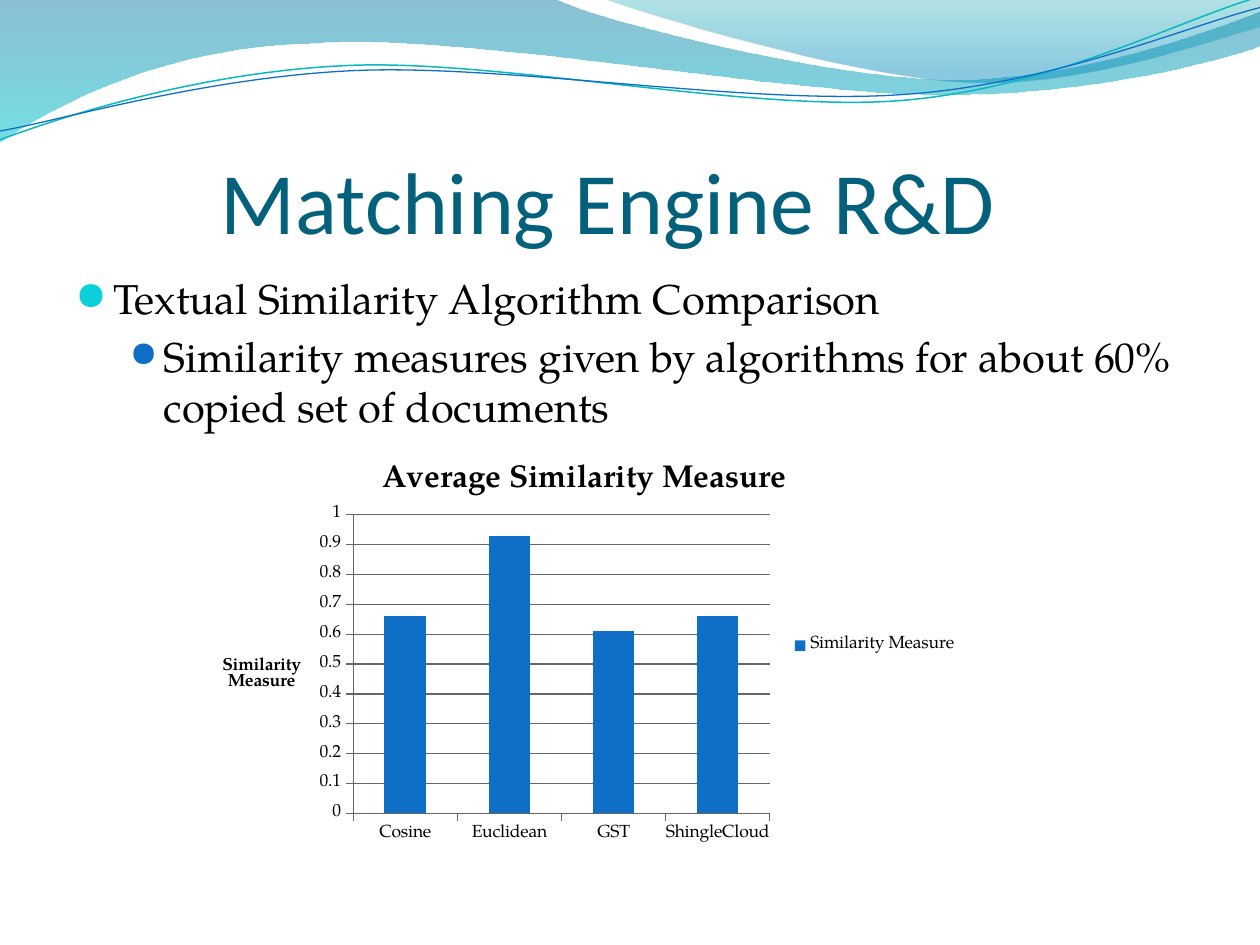
"""Build the Matching Engine R&D slide with its similarity chart."""
from dataclasses import dataclass

from lxml.etree import SubElement
from pptx import Presentation
from pptx.chart.data import CategoryChartData
from pptx.dml.color import RGBColor
from pptx.enum.chart import XL_CHART_TYPE, XL_LEGEND_POSITION, XL_TICK_MARK
from pptx.enum.text import MSO_ANCHOR, PP_ALIGN
from pptx.oxml.ns import qn
from pptx.util import Emu, Pt

PX = 9144
BODY_FONT = "TeX Gyre Pagella"
BLUE, GRID = "0F6FC6", "666666"
Point = tuple[int, int]


@dataclass
class Outline:
    """A start point, then segments: one point is a line, three are a Bezier."""
    start: Point
    segments: list[list[Point]]


@dataclass
class Stop:
    """One gradient stop, with opacity in percent."""
    position: float
    color: str
    opacity: int


@dataclass
class Wave:
    """A closed band with a gradient."""
    outline: Outline
    stops: list[Stop]


@dataclass
class Ribbon:
    """A thin curved line."""
    outline: Outline
    color: str
    width: float


@dataclass
class Bullet:
    """A bulleted paragraph, with its indents in px."""
    text: str
    left: int
    hang: int
    color: str
    size: int


WAVES = [
    Wave(Outline((0, 0), [
        [(440, -1)],
        [(476, 17), (664, 63), (758, 63)], [(853, 63), (958, 26), (1000, 9)],
        [(1001, 36)],
        [(983, 44), (870, 76), (746, 75)], [(622, 75), (382, 28), (257, 34)],
        [(129, 36), (46, 83), (-1, 113)]]),
        [Stop(0, "0074A1", 45), Stop(1, "00C6CF", 55)]),
    Wave(Outline((479, -1), [
        [(509, 11), (682, 62), (769, 65)], [(856, 69), (961, 32), (1000, 21)],
        [(1000, 0)]]),
        [Stop(0, "00A1A9", 30), Stop(0.8, "008BBF", 45)]),
]
RIBBONS = [
    Ribbon(Outline((0, 111), [
        [(48, 93), (158, 57), (277, 52)], [(395, 47), (593, 89), (713, 80)],
        [(833, 71), (938, 15), (998, -2)]]), "0AB8BF", 0.85),
    Ribbon(Outline((0, 104), [
        [(47, 96), (164, 61), (283, 56)], [(403, 51), (597, 84), (717, 75)],
        [(836, 67), (941, 21), (1000, 6)]]), BLUE, 0.75),
]
BULLETS = [
    Bullet("Textual Similarity Algorithm Comparison", 30, 30, "0BD0D9", 95),
    Bullet("Similarity measures given by algorithms for about 60% copied set of documents",
           70, 27, BLUE, 85),
]
MEASURES = {"Cosine": 0.66, "Euclidean": 0.93, "GST": 0.61, "ShingleCloud": 0.66}
PLOT_AREA = {"x": 0.2, "y": 0.18, "w": 0.54, "h": 0.73}


def rgb(color: str) -> RGBColor:
    """Turn a hex string into a colour."""
    return RGBColor.from_string(color)


def px(*values: int) -> list[Emu]:
    """Turn px lengths into EMU."""
    return [Emu(v * PX) for v in values]


def add_outline(slide, outline: Outline, close: bool):
    """Draw a freeform and turn its three-point segments into Beziers."""
    builder = slide.shapes.build_freeform(*outline.start, scale=PX)
    builder.add_line_segments([p for seg in outline.segments for p in seg], close=close)
    sp = builder.convert_to_shape()
    sp.shadow.inherit = False
    lines = iter(list(sp._element.spPr.iter(qn("a:lnTo"))))
    for seg in outline.segments:
        nodes = [next(lines) for _ in seg]
        if len(seg) == 3:
            bezier = nodes[0].makeelement(qn("a:cubicBezTo"))
            nodes[0].addprevious(bezier)
            for node in nodes:
                bezier.append(node[0])
                node.getparent().remove(node)
    return sp


def add_wave(slide, wave: Wave) -> None:
    """Draw a translucent gradient band."""
    sp = add_outline(slide, wave.outline, True)
    sp.line.fill.background()
    sp.fill.gradient()
    sp.fill.gradient_angle = 270
    for target, stop in zip(sp.fill.gradient_stops, wave.stops):
        target.position = stop.position
        target.color.rgb = rgb(stop.color)
    for clr, stop in zip(sp._element.spPr.iter(qn("a:srgbClr")), wave.stops):
        SubElement(clr, qn("a:alpha"), val=str(stop.opacity * 1000))


def add_ribbon(slide, ribbon: Ribbon) -> None:
    """Draw a thin curved line."""
    sp = add_outline(slide, ribbon.outline, False)
    sp.fill.background()
    sp.line.color.rgb = rgb(ribbon.color)
    sp.line.width = Pt(ribbon.width)


def add_box(slide, box: tuple[int, int, int, int]):
    """Add a wrapping text box and return its frame."""
    tf = slide.shapes.add_textbox(*px(*box)).text_frame
    tf.word_wrap = True
    return tf


def write(p, text: str, *, size: float, font: str = BODY_FONT, color: str = "000000",
          bold: bool = False) -> None:
    """Write a formatted run into a paragraph."""
    r = p.add_run()
    r.text = text
    r.font.size, r.font.name, r.font.bold = Pt(size), font, bold
    r.font.color.rgb = rgb(color)


def add_bullet(p, bullet: Bullet) -> None:
    """Fill a paragraph with a bulleted text."""
    p.space_before = Pt(4.4)
    pPr = p._p.get_or_add_pPr()
    pPr.set("marL", str(bullet.left * PX))
    pPr.set("indent", str(-bullet.hang * PX))
    SubElement(SubElement(pPr, qn("a:buClr")), qn("a:srgbClr"), val=bullet.color)
    SubElement(pPr, qn("a:buSzPct"), val=str(bullet.size * 1000))
    SubElement(pPr, qn("a:buFont"), typeface="OpenSymbol")
    SubElement(pPr, qn("a:buChar"), char="●")
    write(p, bullet.text, size=23.8)


def place_plot(chart) -> None:
    """Fix the inner plot area as fractions of the chart."""
    area = chart._chartSpace.chart.plotArea
    for old in area.findall(qn("c:layout")):
        area.remove(old)
    layout = area.makeelement(qn("c:layout"))
    area.insert(0, layout)
    manual = SubElement(layout, qn("c:manualLayout"))
    SubElement(manual, qn("c:layoutTarget"), val="inner")
    for side in "xy":
        SubElement(manual, qn(f"c:{side}Mode"), val="edge")
    for side, share in PLOT_AREA.items():
        SubElement(manual, qn(f"c:{side}"), val=str(share))


def add_measure_chart(slide) -> None:
    """Add the column chart of average similarity."""
    data = CategoryChartData()
    data.categories = list(MEASURES)
    data.add_series("Similarity Measure", list(MEASURES.values()))
    chart = slide.shapes.add_chart(XL_CHART_TYPE.COLUMN_STACKED,
                                   *px(158, 350, 612, 325), data).chart
    chart.font.size, chart.font.name = Pt(10), BODY_FONT
    chart.font.color.rgb = rgb("000000")
    chart.has_title = True
    write(chart.chart_title.text_frame.paragraphs[0], "Average Similarity Measure",
          size=18, bold=True)
    chart.has_legend = True
    chart.legend.position = XL_LEGEND_POSITION.RIGHT
    chart.legend.include_in_layout = False
    plot = chart.plots[0]
    plot.gap_width, plot.overlap, plot.vary_by_categories = 150, 100, False
    fill = plot.series[0].format.fill
    fill.solid()
    fill.fore_color.rgb = rgb(BLUE)
    axis = chart.value_axis
    axis.minimum_scale, axis.maximum_scale, axis.major_unit = 0, 1, 0.1
    axis.has_major_gridlines = True
    for part in (axis, chart.category_axis):
        part.major_tick_mark = XL_TICK_MARK.OUTSIDE
    for part in (axis, chart.category_axis, axis.major_gridlines):
        part.format.line.color.rgb = rgb(GRID)
        part.format.line.width = Pt(0.75)
    tf = axis.axis_title.text_frame
    write(tf.paragraphs[0], "Similarity Measure", size=10, bold=True)
    body = tf._txBody.find(qn("a:bodyPr"))
    body.set("rot", "0")
    body.set("vert", "horz")
    place_plot(chart)


def main() -> None:
    """Build and save the slide."""
    prs = Presentation()
    prs.slide_width, prs.slide_height = px(1000, 750)
    s = prs.slides.add_slide(prs.slide_layouts[6])
    for wave in WAVES:
        add_wave(s, wave)
    for ribbon in RIBBONS:
        add_ribbon(s, ribbon)
    tf = add_box(s, (33, 75, 900, 125))
    tf.margin_left = tf.margin_right = tf.margin_bottom = 0
    tf.vertical_anchor = MSO_ANCHOR.BOTTOM
    tf.paragraphs[0].alignment = PP_ALIGN.CENTER
    write(tf.paragraphs[0], "Matching Engine R&D", size=50, font="Calibri", color="04617B")
    tf = add_box(s, (50, 212, 900, 513))
    for i, bullet in enumerate(BULLETS):
        add_bullet(tf.add_paragraph() if i else tf.paragraphs[0], bullet)
    add_measure_chart(s)
    prs.save("out.pptx")


if __name__ == "__main__":
    main()
